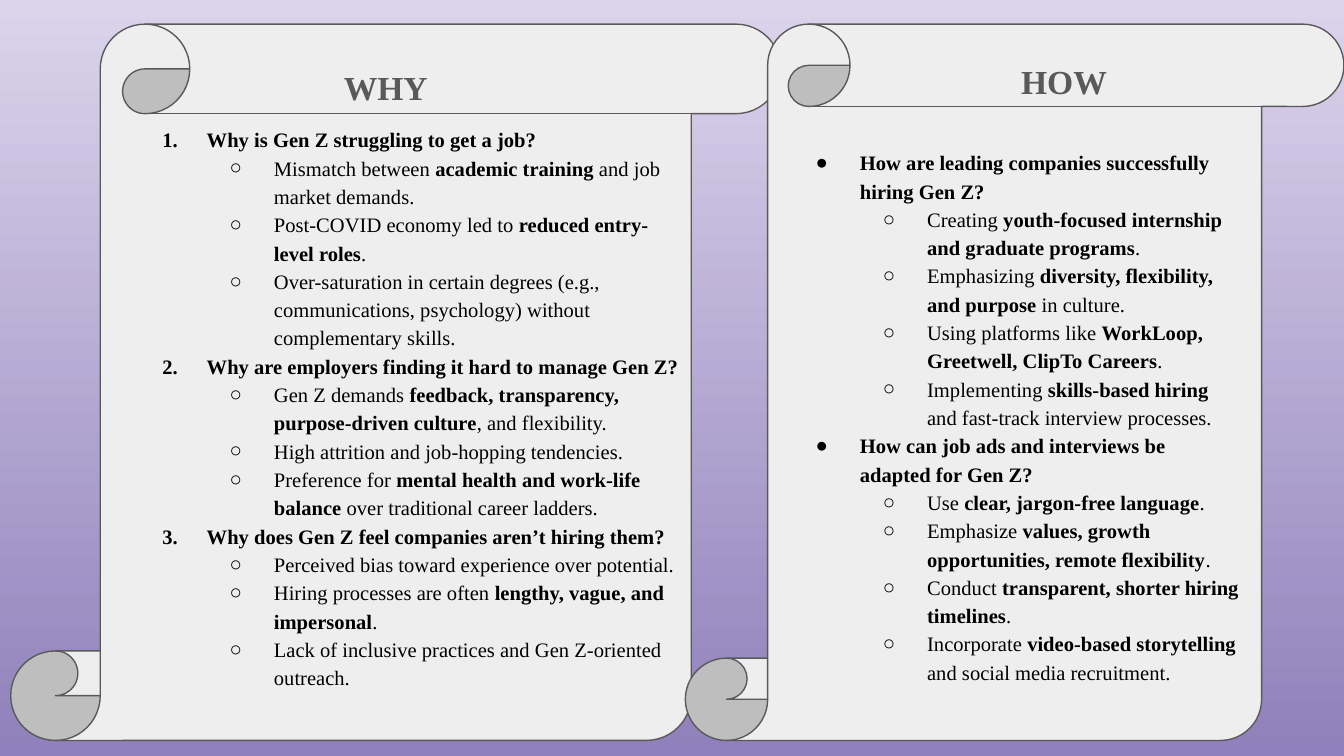
"""Build the WHY / HOW slide about Gen Z hiring on two scrolls."""
import pptx
import pptx.util
import pptx.dml.color
import pptx.enum.shapes
import pptx.oxml.ns
from lxml import etree

Inches, Pt = pptx.util.Inches, pptx.util.Pt
RGBColor = pptx.dml.color.RGBColor

WIDE = 10
HIGH = WIDE * 9 / 16
TOP = RGBColor(0xDB, 0xD4, 0xEB)
BASE = RGBColor(0x90, 0x80, 0xBB)
PAPER = RGBColor(0xEE, 0xEE, 0xEE)
GREY = RGBColor(0x59, 0x59, 0x59)
BLACK = RGBColor(0, 0, 0)
FONT = "Times New Roman"

WHY = [
    ("Why is Gen Z struggling to get a job?", [
        "Mismatch between *academic training* and job market demands.",
        "Post-COVID economy led to *reduced entry-level roles*.",
        "Over-saturation in certain degrees (e.g., communications, psychology) "
        "without complementary skills."]),
    ("Why are employers finding it hard to manage Gen Z?", [
        "Gen Z demands *feedback, transparency, purpose-driven culture*, and flexibility.",
        "High attrition and job-hopping tendencies.",
        "Preference for *mental health and work-life balance* over traditional career ladders."]),
    ("Why does Gen Z feel companies aren’t hiring them?", [
        "Perceived bias toward experience over potential.",
        "Hiring processes are often *lengthy, vague, and impersonal*.",
        "Lack of inclusive practices and Gen Z-oriented outreach."]),
]
HOW = [
    ("How are leading companies successfully hiring Gen Z?", [
        "Creating *youth-focused internship and graduate programs*.",
        "Emphasizing *diversity, flexibility, and purpose* in culture.",
        "Using platforms like *WorkLoop, Greetwell, ClipTo Careers*.",
        "Implementing *skills-based hiring* and fast-track interview processes."]),
    ("How can job ads and interviews be adapted for Gen Z?", [
        "Use *clear, jargon-free language*.",
        "Emphasize *values, growth opportunities, remote flexibility*.",
        "Conduct *transparent, shorter hiring timelines*.",
        "Incorporate *video-based storytelling* and social media recruitment."]),
]
AUTO = ("buAutoNum", {"type": "arabicPeriod"})
DISC = ("buChar", {"char": "●"})
RING = ("buChar", {"char": "○"})
PANELS = [
    dict(scroll=(0.08, 0.18, 5.73, 5.33), title="WHY", head=(2.46, 0.4, 1.3, 0.28),
         body=(0.94, 0.82, 4.26, 3.39), items=WHY, mark=AUTO),
    dict(scroll=(5.1, 0.18, 4.9, 5.33), title="HOW", head=(7.5, 0.35, 1.3, 0.36),
         body=(5.8, 0.99, 3.52, 3.22), items=HOW, mark=DISC),
]


def add_scroll(slide, box):
    kind = pptx.enum.shapes.MSO_SHAPE.VERTICAL_SCROLL
    shape = slide.shapes.add_shape(kind, *map(Inches, box))
    shape.shadow.inherit = False
    shape.fill.solid()
    shape.fill.fore_color.rgb = PAPER
    shape.line.color.rgb = GREY
    shape.line.width = Pt(0.75)


def add_frame(slide, box):
    frame = slide.shapes.add_textbox(*map(Inches, box)).text_frame
    frame.word_wrap = True
    frame.margin_left = frame.margin_right = Inches(0.1)
    frame.margin_top = frame.margin_bottom = Inches(0.1)
    return frame


def style(run, size, color, bold):
    font = run.font
    font.name, font.size, font.bold = FONT, Pt(size), bold
    font.color.rgb = color


def add_mark(para, level, mark):
    qn = pptx.oxml.ns.qn
    props = para._p.get_or_add_pPr()
    props.set("marL", str(Inches(0.5 * (level + 1))))
    props.set("indent", str(Inches(-0.33)))
    tint = etree.SubElement(props, qn("a:buClr"))
    etree.SubElement(tint, qn("a:srgbClr"), val=str(BLACK))
    etree.SubElement(props, qn("a:buFont"), typeface=FONT)
    tag, attrs = mark
    etree.SubElement(props, qn("a:" + tag), attrs)


def add_list(slide, box, items, mark):
    frame = add_frame(slide, box)
    rows = []
    for ask, notes in items:
        rows.append((0, f"*{ask}*", mark))
        rows += [(1, note, RING) for note in notes]
    for i, (level, text, sign) in enumerate(rows):
        para = frame.add_paragraph() if i else frame.paragraphs[0]
        para.level = level
        para.line_spacing = 1.15
        para.space_before = Pt(0 if i else 12)
        add_mark(para, level, sign)
        for j, part in enumerate(text.split("*")):
            if part:
                run = para.add_run()
                run.text = part
                style(run, 11, BLACK, j % 2 == 1)


def main():
    deck = pptx.Presentation()
    deck.slide_width, deck.slide_height = Inches(WIDE), Inches(HIGH)
    slide = deck.slides.add_slide(deck.slide_layouts[6])
    fill = slide.background.fill
    fill.gradient()
    fill.gradient_angle = 270
    for stop, color, place in zip(fill.gradient_stops, (TOP, BASE), (0, 1)):
        stop.color.rgb, stop.position = color, place
    for panel in PANELS:
        add_scroll(slide, panel["scroll"])
        add_list(slide, panel["body"], panel["items"], panel["mark"])
        head = add_frame(slide, panel["head"])
        head.text = panel["title"]
        style(head.paragraphs[0].runs[0], 18, GREY, True)
    deck.save("out.pptx")


if __name__ == "__main__":
    main()
